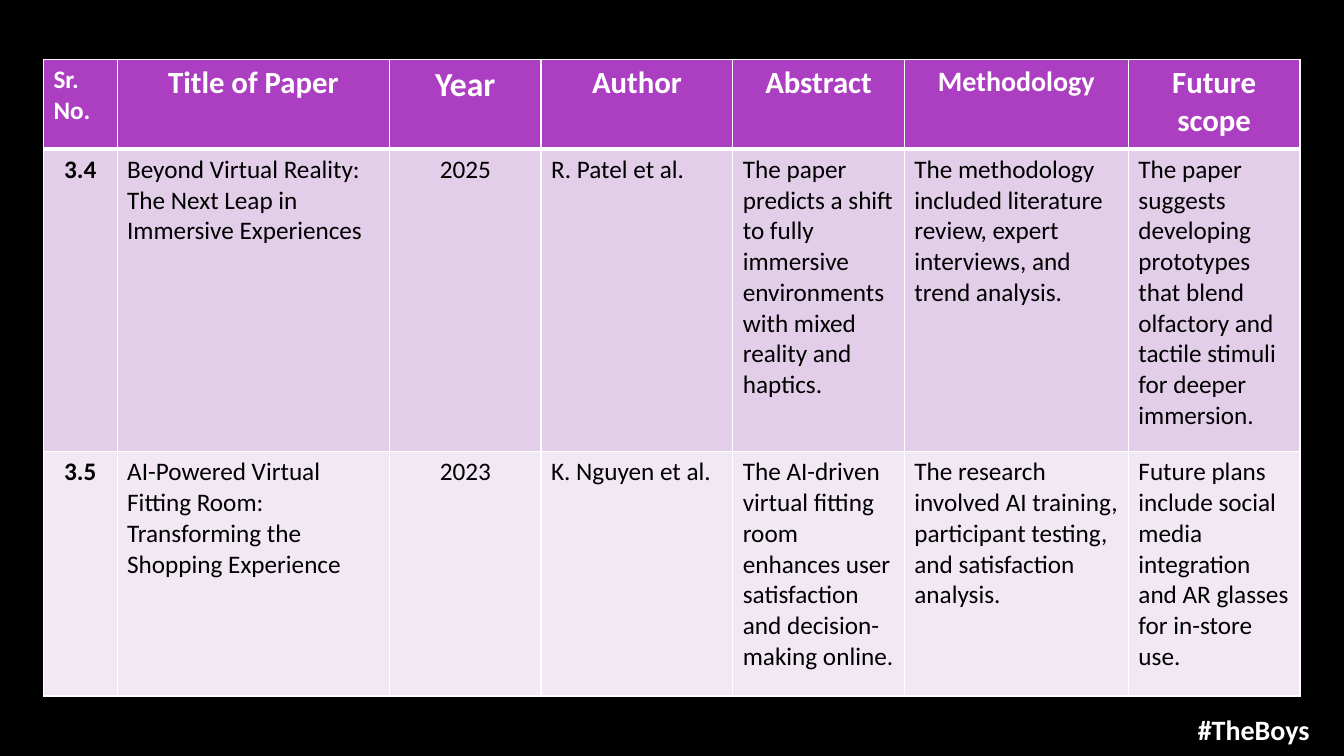
from dataclasses import dataclass

from lxml.etree import SubElement
from pptx import Presentation
from pptx.dml.color import RGBColor
from pptx.enum.text import PP_ALIGN
from pptx.oxml.ns import qn
from pptx.util import Inches, Pt


@dataclass(frozen=True)
class Theme:
    font: str = "Calibri"
    background: str = "000000"
    light: str = "FFFFFF"
    dark: str = "000000"
    header: str = "AC3EC1"
    bands: tuple = ("E3CEE9", "F1E8F4")
    body_size: int = 18
    tag_size: int = 20
    thin: int = 1
    thick: int = 3


HEADERS = [
    ("Sr.\nNo.", 18), ("Title of Paper", 22), ("Year", 24), ("Author", 22),
    ("Abstract", 22), ("Methodology", 20), ("Future scope", 22),
]
PAPERS = [
    ("3.4", "Beyond Virtual Reality: The Next Leap in Immersive Experiences",
     "2025", "R. Patel et al.",
     "The paper predicts a shift to fully immersive environments with mixed reality and haptics.",
     "The methodology included literature review, expert interviews, and trend analysis.",
     "The paper suggests developing prototypes that blend olfactory and tactile stimuli for deeper immersion."),
    ("3.5", "AI-Powered Virtual Fitting Room: Transforming the Shopping Experience",
     "2023", "K. Nguyen et al.",
     "The AI-driven virtual fitting room enhances user satisfaction and decision-making online.",
     "The research involved AI training, participant testing, and satisfaction analysis.",
     "Future plans include social media integration and AR glasses for in-store use."),
]
COLUMN_WEIGHTS = [0.73, 2.7, 1.5, 1.9, 1.7, 2.22, 1.7]
ROW_WEIGHTS = [0.89, 3, 2.42]
NUMBER, YEAR = 0, 2


class SlideBuilder:
    def __init__(self, prs, theme):
        self.prs = prs
        self.theme = theme
        self.s = prs.slides.add_slide(prs.slide_layouts[6])
        fill = self.s.background.fill
        fill.solid()
        fill.fore_color.rgb = RGBColor.from_string(theme.background)

    def area(self, left, top, width, height):
        w, h = self.prs.slide_width, self.prs.slide_height
        return [int(v / 100 * side) for v, side in zip((left, top, width, height), (w, h, w, h))]

    def set_text(self, tf, text, size, color, bold=False, centered=False):
        tf.text = text
        for p in tf.paragraphs:
            p.alignment = PP_ALIGN.CENTER if centered else PP_ALIGN.LEFT
            for r in p.runs:
                r.font.name = self.theme.font
                r.font.size = Pt(size)
                r.font.bold = bold
                r.font.color.rgb = RGBColor.from_string(color)

    def style_cell(self, cell, color, top, bottom):
        tcPr = cell._tc.get_or_add_tcPr()
        thin = self.theme.thin
        for side, width in (("L", thin), ("R", thin), ("T", top), ("B", bottom)):
            ln = SubElement(tcPr, qn(f"a:ln{side}"), w=str(Pt(width)))
            SubElement(SubElement(ln, qn("a:solidFill")), qn("a:srgbClr"), val=self.theme.light)
        cell.fill.solid()
        cell.fill.fore_color.rgb = RGBColor.from_string(color)

    def table(self, area, headers, papers, column_weights, row_weights):
        t = self.theme
        left, top, width, height = self.area(*area)
        table = self.s.shapes.add_table(
            len(row_weights), len(column_weights), left, top, width, height).table
        for column, weight in zip(table.columns, column_weights):
            column.width = int(width * weight / sum(column_weights))
        for row, weight in zip(table.rows, row_weights):
            row.height = int(height * weight / sum(row_weights))
        for j, (text, size) in enumerate(headers):
            cell = table.cell(0, j)
            self.style_cell(cell, t.header, t.thin, t.thick)
            self.set_text(cell.text_frame, text, size, t.light, True, j != NUMBER)
        for i, paper in enumerate(papers):
            for j, text in enumerate(paper):
                cell = table.cell(i + 1, j)
                self.style_cell(cell, t.bands[i % 2], t.thin if i else t.thick, t.thin)
                self.set_text(cell.text_frame, text, t.body_size, t.dark,
                              j == NUMBER, j in (NUMBER, YEAR))

    def tag(self, area, text):
        tf = self.s.shapes.add_textbox(*self.area(*area)).text_frame
        tf.word_wrap = True
        self.set_text(tf, text, self.theme.tag_size, self.theme.light, True, True)


def main():
    prs = Presentation()
    prs.slide_width, prs.slide_height = Inches(13.33), Inches(7.5)
    slide = SlideBuilder(prs, Theme())
    slide.table((3.23, 7.87, 93.5, 84.2), HEADERS, PAPERS, COLUMN_WEIGHTS, ROW_WEIGHTS)
    slide.tag((87.25, 93.6, 12.08, 5.87), "#TheBoys")
    prs.save("out.pptx")


if __name__ == "__main__":
    main()
